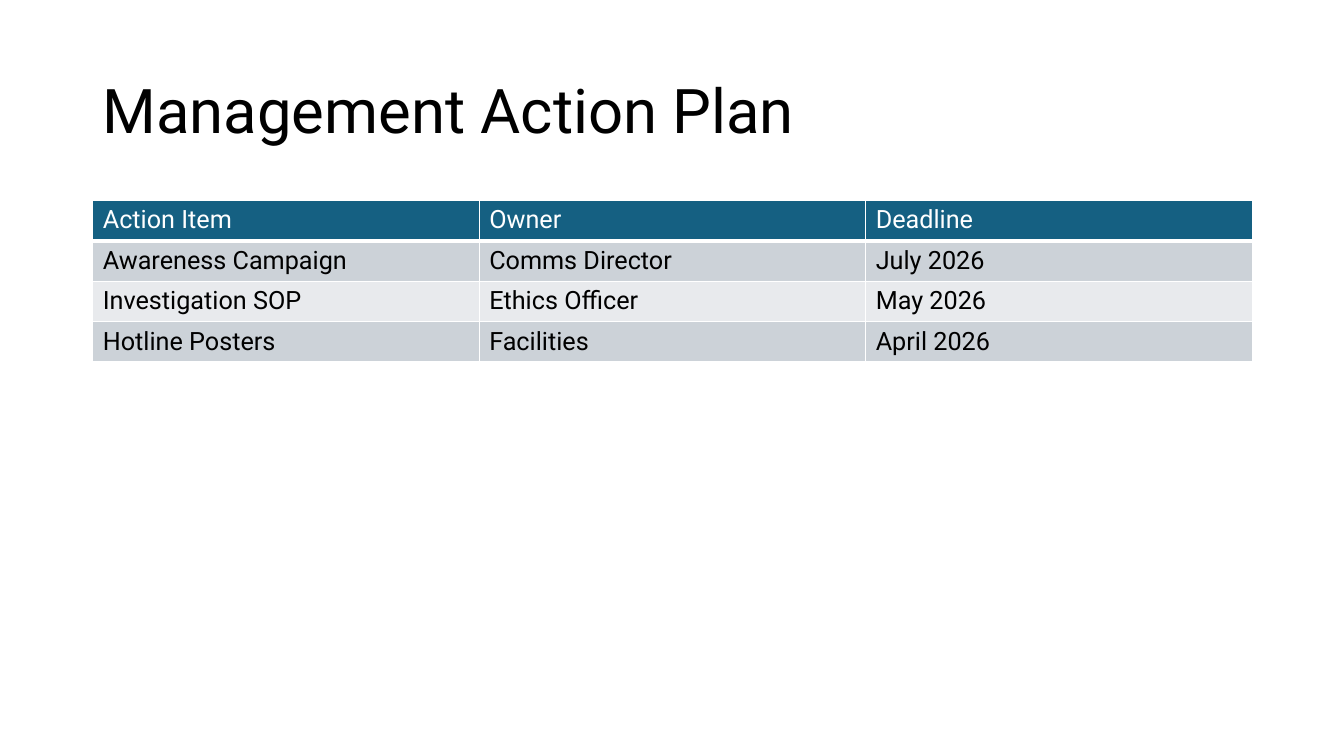
from lxml import etree
from pptx import Presentation
from pptx.dml.color import RGBColor
from pptx.enum.text import MSO_ANCHOR
from pptx.oxml.ns import qn
from pptx.util import Inches, Pt

MIDDLE = MSO_ANCHOR.MIDDLE
FONT = "Roboto"
COLORS = {
    "ink": "000000",
    "paper": "FFFFFF",
    "header": "156082",
    "band_dark": "CCD2D8",
    "band_light": "E8EAED",
}

# Layout in inches
SLIDE_W, SLIDE_H = 13.33, 7.5
LEFT, CONTENT_W = 0.92, 11.5
TITLE_TOP, TITLE_H = 0.4, 1.45
TABLE_TOP, ROW_H = 1.99, 0.39

ACTIONS = [
    ("Action Item", "Owner", "Deadline"),
    ("Awareness Campaign", "Comms Director", "July 2026"),
    ("Investigation SOP", "Ethics Officer", "May 2026"),
    ("Hotline Posters", "Facilities", "April 2026"),
]


def rgb(name):
    return RGBColor.from_string(COLORS[name])


def write(paragraph, text, size, color):
    paragraph.text = text
    paragraph.font.name = FONT
    paragraph.font.size = Pt(size)
    paragraph.font.color.rgb = rgb(color)


def add_title(slide, text):
    title = slide.shapes.add_textbox(
        Inches(LEFT), Inches(TITLE_TOP), Inches(CONTENT_W), Inches(TITLE_H))
    frame = title.text_frame
    frame.word_wrap = True
    frame.vertical_anchor = MIDDLE
    heading = frame.paragraphs[0]
    heading.line_spacing = 0.9
    write(heading, text, 44, "ink")


def set_borders(cell, bottom_width):
    properties = cell._tc.get_or_add_tcPr()
    widths = {"a:lnL": 1, "a:lnR": 1, "a:lnT": 1, "a:lnB": bottom_width}
    # Border lines must come before the cell fill
    for position, (tag, width) in enumerate(widths.items()):
        line = etree.Element(qn(tag), w=str(Pt(width)))
        fill = etree.SubElement(line, qn("a:solidFill"))
        etree.SubElement(fill, qn("a:srgbClr"), val=COLORS["paper"])
        properties.insert(position, line)


def add_action_table(slide, rows):
    column_count = len(rows[0])
    table = slide.shapes.add_table(
        len(rows), column_count, Inches(LEFT), Inches(TABLE_TOP),
        Inches(CONTENT_W), Inches(ROW_H * len(rows))).table
    for r, entries in enumerate(rows):
        is_header = r == 0
        band = "header" if is_header else "band_dark" if r % 2 else "band_light"
        for c, entry in enumerate(entries):
            cell = table.cell(r, c)
            cell.fill.solid()
            cell.fill.fore_color.rgb = rgb(band)
            set_borders(cell, 3 if is_header else 1)
            label = cell.text_frame.paragraphs[0]
            write(label, entry, 18, "paper" if is_header else "ink")
            label.font.bold = False


def main():
    deck = Presentation()
    deck.slide_width, deck.slide_height = Inches(SLIDE_W), Inches(SLIDE_H)
    slide = deck.slides.add_slide(deck.slide_layouts[6])
    slide.background.fill.solid()
    slide.background.fill.fore_color.rgb = rgb("paper")

    add_title(slide, "Management Action Plan")
    add_action_table(slide, ACTIONS)
    deck.save("out.pptx")


if __name__ == "__main__":
    main()
